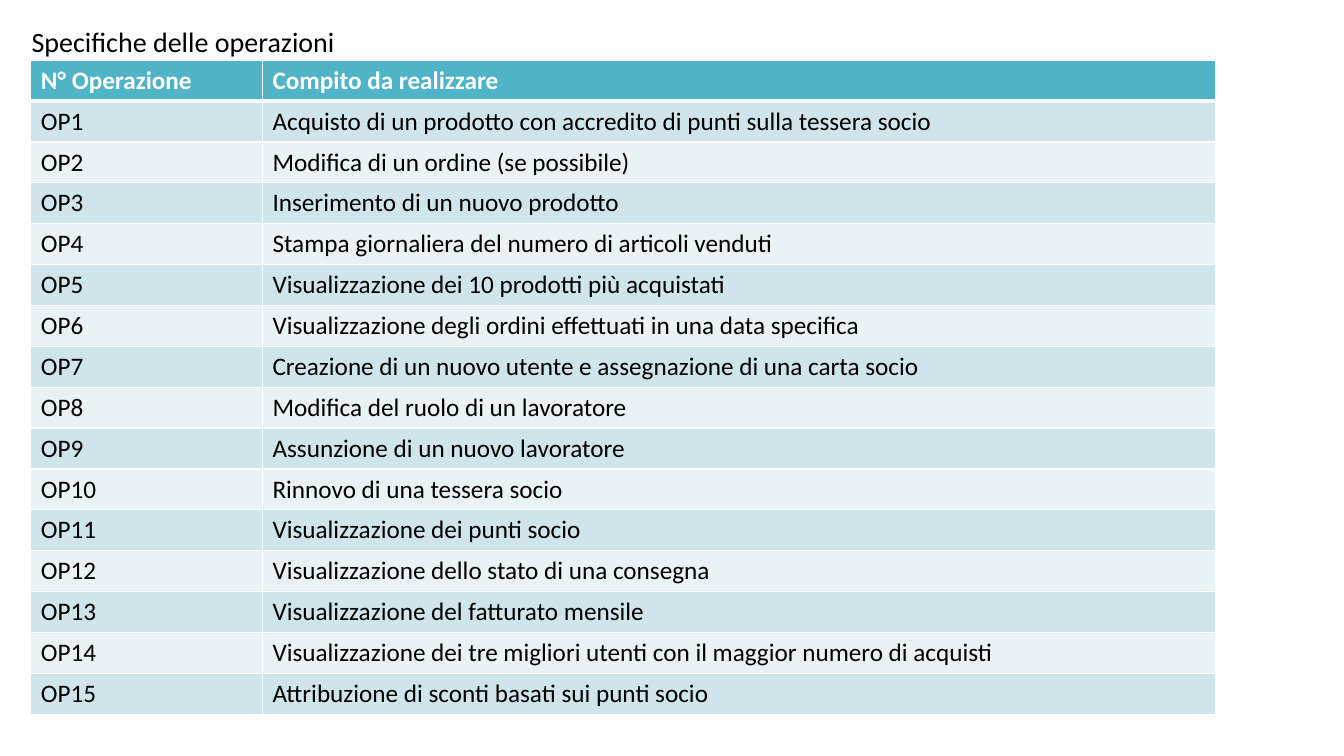
"""Build the slide that lists the operations and their tasks."""
import dataclasses

import pptx
import pptx.dml.color
import pptx.enum.text
import pptx.oxml
import pptx.oxml.ns
import pptx.util

Pt = pptx.util.Pt
RGB = pptx.dml.color.RGBColor.from_string


@dataclasses.dataclass(frozen=True)
class Theme:
    font: str = "Calibri"
    ink: str = "000000"
    white: str = "FFFFFF"
    head: str = "50B4C8"
    bands: tuple = ("D0E5EB", "E9F2F5")
    title: int = 20
    body: int = 18
    thin: int = 1
    thick: int = 3


class Sheet:
    def __init__(self, slide, theme):
        self.slide = slide
        self.theme = theme

    def text(self, frame, words, size, color, bold=False):
        run = frame.paragraphs[0].add_run()
        run.text = words
        form = {"name": self.theme.font, "size": Pt(size), "bold": bold}
        for key, value in form.items():
            setattr(run.font, key, value)
        run.font.color.rgb = RGB(color)

    def label(self, words, left, top, width, height):
        box = self.slide.shapes.add_textbox(Pt(left), Pt(top), Pt(width), Pt(height))
        form = {
            "word_wrap": False,
            "auto_size": pptx.enum.text.MSO_AUTO_SIZE.SHAPE_TO_FIT_TEXT,
        }
        for key, value in form.items():
            setattr(box.text_frame, key, value)
        self.text(box.text_frame, words, self.theme.title, self.theme.ink)

    def border(self, cell, sides):
        props = cell._tc.get_or_add_tcPr()
        space = pptx.oxml.ns.nsdecls("a")
        for side, width in sides.items():
            props.append(pptx.oxml.parse_xml(
                f'<a:ln{side} {space} w="{Pt(width)}"><a:solidFill>'
                f'<a:srgbClr val="{self.theme.white}"/></a:solidFill></a:ln{side}>'
            ))

    def table(self, rows, left, top, widths, height):
        theme = self.theme
        grid = self.slide.shapes.add_table(
            len(rows), len(widths), Pt(left), Pt(top),
            Pt(sum(widths)), Pt(height * len(rows)),
        ).table
        for col, width in zip(grid.columns, widths):
            col.width = Pt(width)
        for i, texts in enumerate(rows):
            grid.rows[i].height = Pt(height)
            first = i == 0
            fill = theme.head if first else theme.bands[(i - 1) % 2]
            color = theme.white if first else theme.ink
            sides = {
                "L": theme.thin,
                "R": theme.thin,
                "T": theme.thick if i == 1 else theme.thin,
                "B": theme.thick if first else theme.thin,
            }
            for j, words in enumerate(texts):
                cell = grid.cell(i, j)
                self.border(cell, sides)
                cell.fill.solid()
                cell.fill.fore_color.rgb = RGB(fill)
                self.text(cell.text_frame, words, theme.body, color, first)


TASKS = [
    "Acquisto di un prodotto con accredito di punti sulla tessera socio",
    "Modifica di un ordine (se possibile)",
    "Inserimento di un nuovo prodotto",
    "Stampa giornaliera del numero di articoli venduti",
    "Visualizzazione dei 10 prodotti più acquistati",
    "Visualizzazione degli ordini effettuati in una data specifica",
    "Creazione di un nuovo utente e assegnazione di una carta socio",
    "Modifica del ruolo di un lavoratore",
    "Assunzione di un nuovo lavoratore",
    "Rinnovo di una tessera socio",
    "Visualizzazione dei punti socio",
    "Visualizzazione dello stato di una consegna",
    "Visualizzazione del fatturato mensile",
    "Visualizzazione dei tre migliori utenti con il maggior numero di acquisti",
    "Attribuzione di sconti basati sui punti socio",
]


def main():
    deck = pptx.Presentation()
    for key, value in {"slide_width": Pt(960), "slide_height": Pt(540)}.items():
        setattr(deck, key, value)
    sheet = Sheet(deck.slides.add_slide(deck.slide_layouts[6]), Theme())
    rows = [("N° Operazione", "Compito da realizzare")]
    rows += [(f"OP{n}", task) for n, task in enumerate(TASKS, 1)]
    sheet.table(rows, 22, 43, (165.5, 680.5), 29.2)
    sheet.label("Specifiche delle operazioni", 15.5, 14, 233, 31.5)
    deck.save("out.pptx")


if __name__ == "__main__":
    main()
